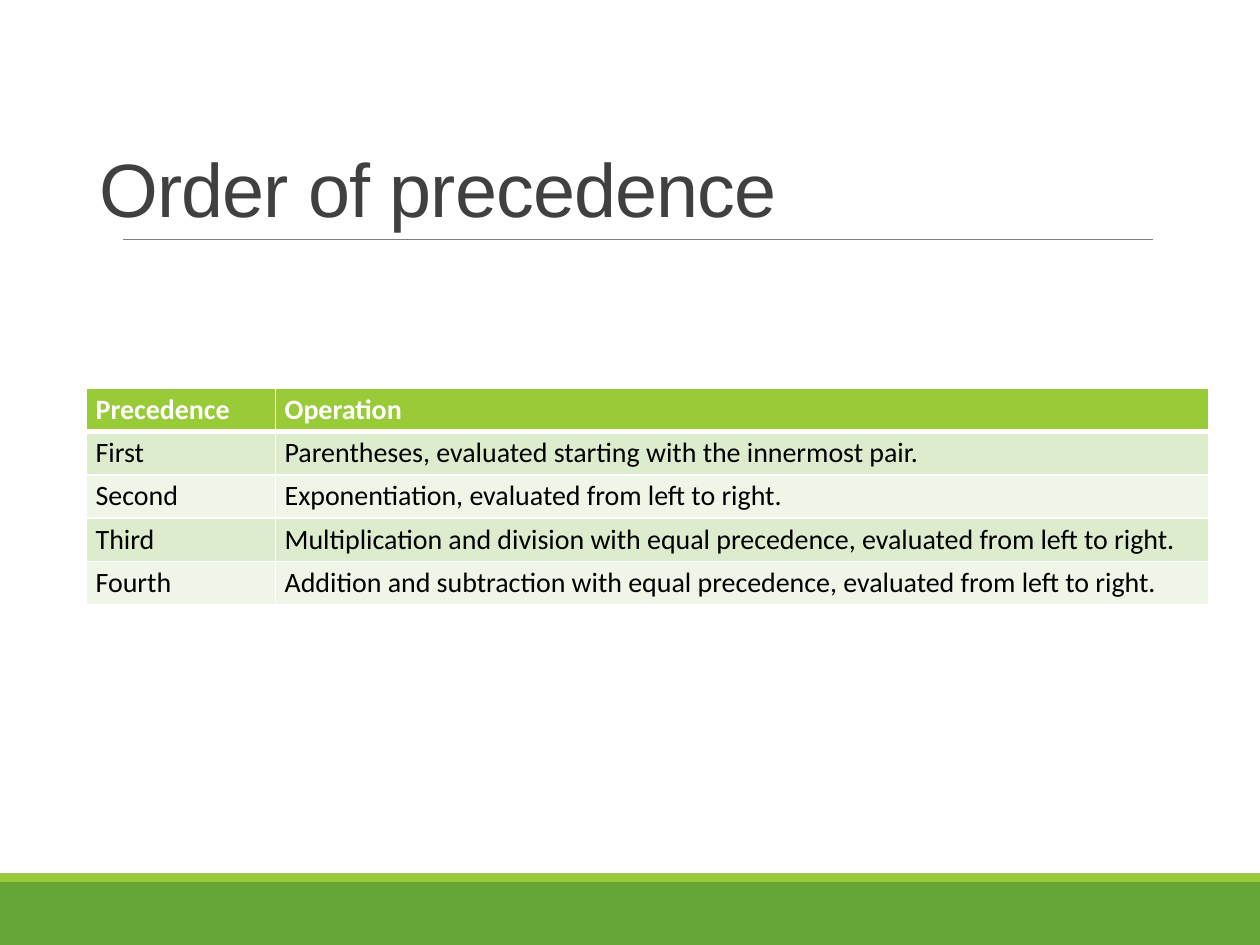
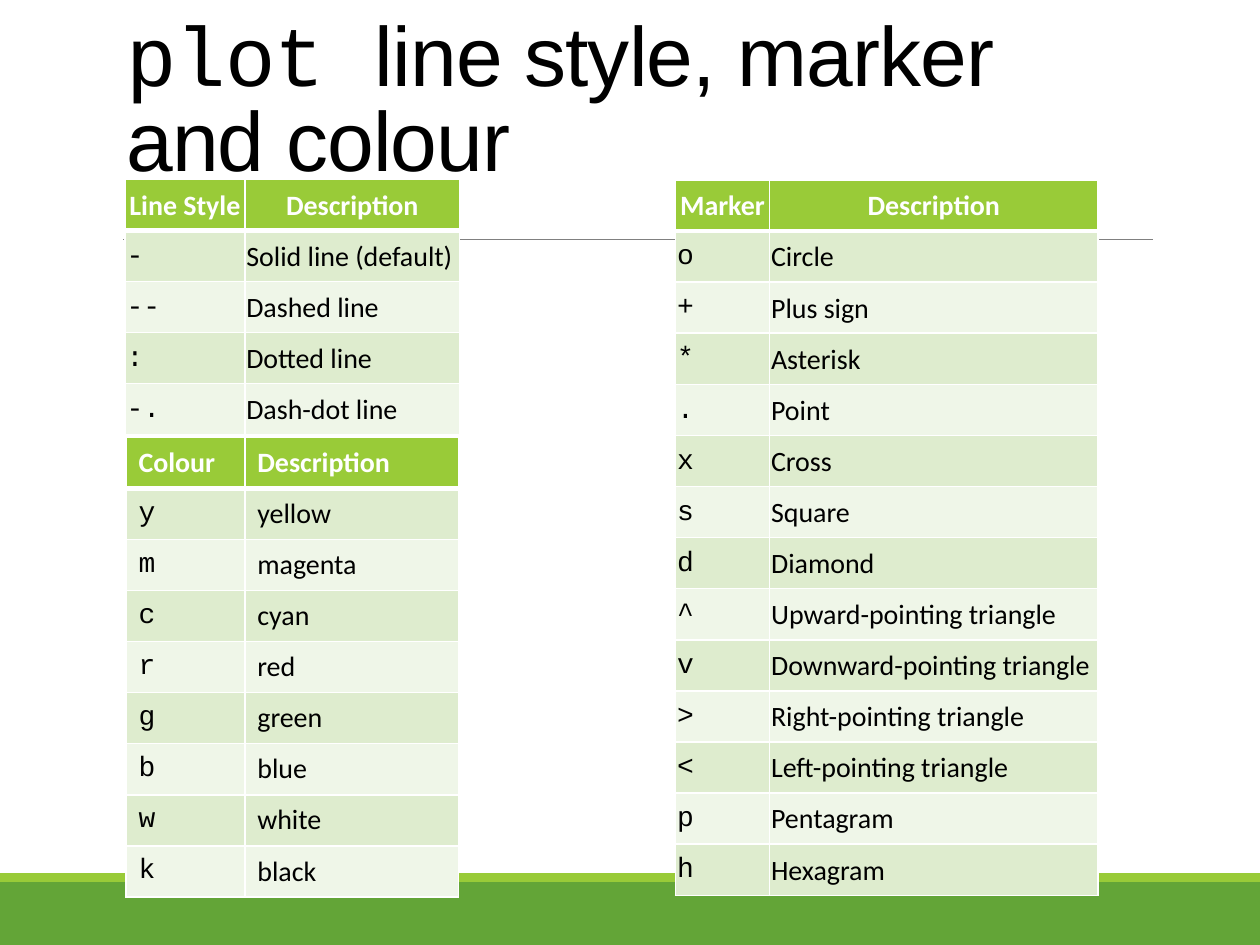
from lxml import etree
from pptx import Presentation
from pptx.dml.color import RGBColor
from pptx.enum.shapes import MSO_CONNECTOR, MSO_SHAPE
from pptx.enum.text import MSO_ANCHOR, MSO_AUTO_SIZE, PP_ALIGN
from pptx.oxml.ns import qn
from pptx.util import Pt

RECT = MSO_SHAPE.RECTANGLE
STRAIGHT = MSO_CONNECTOR.STRAIGHT
TOP, MIDDLE, BOTTOM = MSO_ANCHOR.TOP, MSO_ANCHOR.MIDDLE, MSO_ANCHOR.BOTTOM
LEFT, CENTER = PP_ALIGN.LEFT, PP_ALIGN.CENTER
NO_FIT = MSO_AUTO_SIZE.NONE

SANS, BODY, CODE = "Arial", "Calibri", "Courier New"
WHITE, BLACK, DARK, GRAY = "FFFFFF", "000000", "404040", "808080"
GREEN, LIME = "63A537", "99CB38"
BANDS = ("EFF6E8", "DEECCE")

TIGHT = (0.9, 0.9, 0.9, 0)
SNUG = (5.2, 2.6, 5.2, 2.6)
ROOMY = (7.2, 3.6, 7.2, 3.6)

ORDERS = [
    ("Precedence", "Operation"),
    ("First", "Parentheses, evaluated starting with the innermost pair."),
    ("Second", "Exponentiation, evaluated from left to right."),
    ("Third", "Multiplication and division with equal precedence, "
              "evaluated from left to right."),
    ("Fourth", "Addition and subtraction with equal precedence, "
               "evaluated from left to right."),
]
STYLES = [
    ("Line Style", "Description"),
    ("-", "Solid line (default)"),
    ("--", "Dashed line"),
    (":", "Dotted line"),
    ("-.", "Dash-dot line"),
]
MARKERS = [
    ("Marker", "Description"),
    ("o", "Circle"),
    ("+", "Plus sign"),
    ("*", "Asterisk"),
    (".", "Point"),
    ("x", "Cross"),
    ("s", "Square"),
    ("d", "Diamond"),
    ("^", "Upward-pointing triangle"),
    ("v", "Downward-pointing triangle"),
    (">", "Right-pointing triangle"),
    ("<", "Left-pointing triangle"),
    ("p", "Pentagram"),
    ("h", "Hexagram"),
]
COLOURS = [
    ("Colour", "Description"),
    ("y", "yellow"),
    ("m", "magenta"),
    ("c", "cyan"),
    ("r", "red"),
    ("g", "green"),
    ("b", "blue"),
    ("w", "white"),
    ("k", "black"),
]


def paint(target, color):
    target.solid()
    target.fore_color.rgb = RGBColor.from_string(color)


def write(para, text, font=BODY, size=16, color=BLACK, bold=False, space=0):
    run = para.add_run()
    run.text = text
    run.font.name = font
    run.font.size = Pt(size)
    run.font.bold = bold
    paint(run.font.fill, color)
    if space:
        run.font._element.set("spc", str(space))


def add_band(slide, top, height, color):
    band = slide.shapes.add_shape(RECT, 0, Pt(top), Pt(720), Pt(height))
    band.shadow.inherit = False
    paint(band.fill, color)
    band.line.fill.background()
    return band


def add_rule(slide, left, right, top):
    rule = slide.shapes.add_connector(
        STRAIGHT, Pt(left), Pt(top), Pt(right), Pt(top))
    paint(rule.line.fill, GRAY)
    rule.line.width = Pt(0.5)
    etree.SubElement(rule.element.spPr, qn("a:effectLst"))
    return rule


def dress_layout(layout, slide):
    parts = [
        add_band(slide, 504, 36, GREEN),
        add_band(slide, 499, 5, LIME),
        add_rule(slide, 70.5, 659, 136.8),
    ]
    for part in parts:
        layout.shapes.element.append(part.element)


def set_title(slide, box, runs, size, color):
    title = slide.shapes.title
    title.left, title.top, title.width, title.height = map(Pt, box)
    frame = title.text_frame
    frame.auto_size = NO_FIT
    frame.word_wrap = True
    frame.vertical_anchor = BOTTOM
    para = frame.paragraphs[0]
    para.alignment = LEFT
    para.line_spacing = 0.85
    for text, font in runs:
        write(para, text, font=font, size=size, color=color, space=-50)


def add_edges(cell, row):
    props = cell._tc.get_or_add_tcPr()
    widths = {"L": 1, "R": 1, "T": 3 if row == 1 else 1,
              "B": 3 if row == 0 else 1}
    for side, width in widths.items():
        edge = etree.SubElement(props, qn(f"a:ln{side}"), w=str(Pt(width)))
        fill = etree.SubElement(edge, qn("a:solidFill"))
        etree.SubElement(fill, qn("a:srgbClr"), val=WHITE)


def fill_cell(cell, text, row, inset, anchor, align, font):
    head = row == 0
    add_edges(cell, row)
    paint(cell.fill, LIME if head else BANDS[row % 2])
    (cell.margin_left, cell.margin_top,
     cell.margin_right, cell.margin_bottom) = map(Pt, inset)
    cell.vertical_anchor = anchor
    para = cell.text_frame.paragraphs[0]
    para.alignment = align if head else LEFT
    write(para, text, font=BODY if head else font,
          color=WHITE if head else BLACK, bold=head)


def add_grid(slide, left, top, widths, data, height=29.2, inset=TIGHT,
             anchor=MIDDLE, align=CENTER, fonts=(CODE, BODY)):
    table = slide.shapes.add_table(
        len(data), len(widths), Pt(left), Pt(top),
        Pt(sum(widths)), Pt(height * len(data))).table
    for column, width in zip(table.columns, widths):
        column.width = Pt(width)
    for row, texts in enumerate(data):
        table.rows[row].height = Pt(height)
        for col, text in enumerate(texts):
            fill_cell(table.cell(row, col), text, row, inset, anchor,
                      align, fonts[col])


def show_order(slide):
    set_title(slide, (49.5, 96, 621, 41),
              [("Order of precedence", SANS)], 43.2, DARK)
    add_grid(slide, 49.5, 221.8, (108, 533.5), ORDERS, height=24.6,
             inset=SNUG, anchor=TOP, align=LEFT, fonts=(BODY, BODY))


def show_plot(slide):
    set_title(slide, (65, 0, 594, 111.6),
              [("plot ", CODE), ("line style, marker and colour", SANS)],
              48, BLACK)
    add_grid(slide, 71.5, 102.4, (68.4, 122.8), STYLES)
    add_grid(slide, 386, 102.8, (53.8, 187.7), MARKERS)
    add_grid(slide, 72, 249.8, (67.9, 122), COLOURS, inset=ROOMY, align=LEFT)


def main():
    deck = Presentation()
    deck.slide_width, deck.slide_height = Pt(720), Pt(540)
    layout = deck.slide_layouts[5]
    for holder in list(layout.placeholders):
        if holder.placeholder_format.idx:
            layout.shapes.element.remove(holder.element)
    first = deck.slides.add_slide(layout)
    dress_layout(layout, first)
    show_order(first)
    show_plot(deck.slides.add_slide(layout))
    deck.save("out.pptx")


if __name__ == "__main__":
    main()
